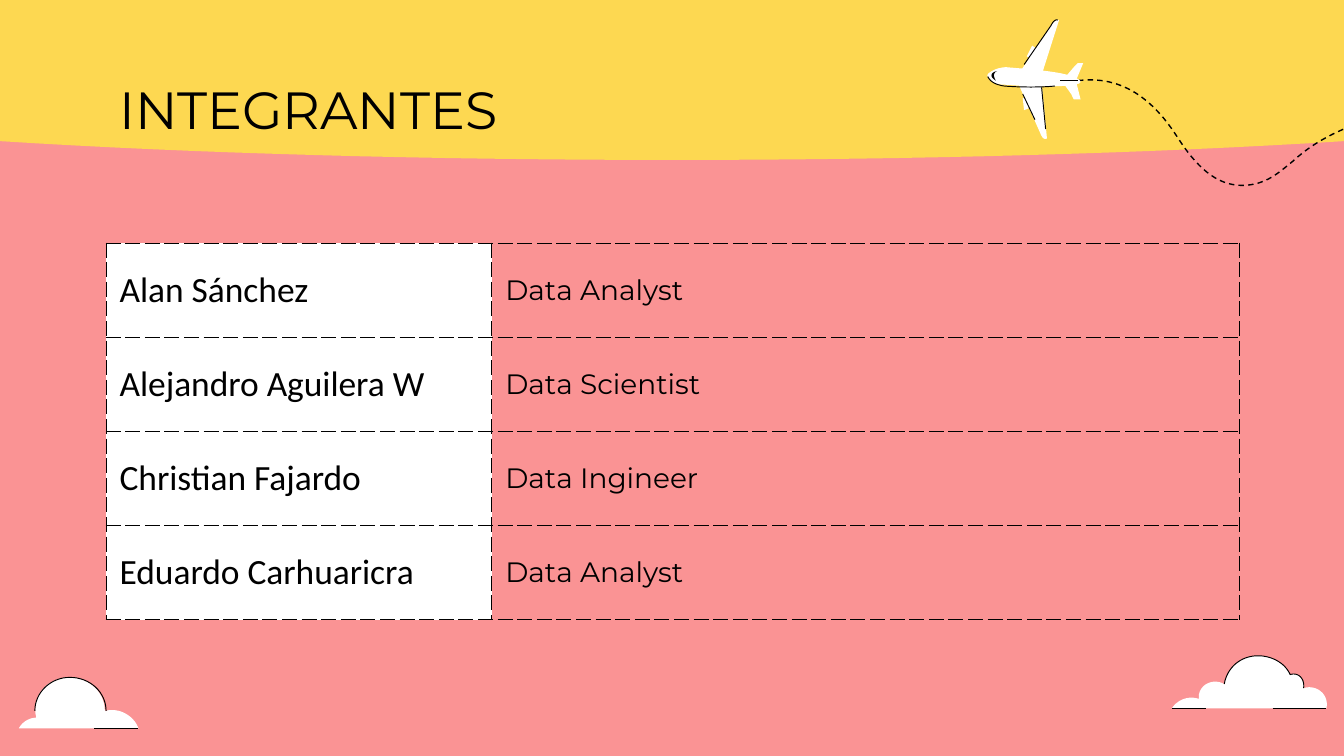
import pptx
import pptx.dml.color
import pptx.enum.dml
import pptx.enum.shapes
import pptx.enum.text
import pptx.oxml
import pptx.util

BLACK, WHITE, YELLOW, PINK = "000000", "FFFFFF", "FDD851", "FA9394"
INK_WIDTH = pptx.util.Pt(0.5)
DASHED_WIDTH = pptx.util.Pt(0.75)

# A 16:9 slide, ten square grid columns across
deck = pptx.Presentation()
deck.slide_width = pptx.util.Inches(10)
deck.slide_height = deck.slide_width * 9 // 16
slide = deck.slides.add_slide(deck.slide_layouts[6])
column = deck.slide_width // 10


def paint(color_format, color):
    color_format.rgb = pptx.dml.color.RGBColor.from_string(color)


def outline(start, segments, fill=None):
    """Filled closed outline, or an inked open one; six numbers make a curve."""
    points = [start]
    for segment in segments:
        if len(segment) == 2:
            points.append(segment)
            continue
        x0, y0 = points[-1]
        x1, y1, x2, y2, x3, y3 = segment
        for step in range(1, 17):
            t = step / 16
            u = 1 - t
            a, b, c, d = u**3, 3 * u * u * t, 3 * u * t * t, t**3
            points.append((a * x0 + b * x1 + c * x2 + d * x3,
                           a * y0 + b * y1 + c * y2 + d * y3))
    scaled = [(x * column, y * column) for x, y in points]
    builder = slide.shapes.build_freeform(*scaled[0], scale=1.0)
    builder.add_line_segments(scaled[1:], close=fill is not None)
    shape = builder.convert_to_shape()
    shape.shadow.inherit = False
    if fill:
        shape.fill.solid()
        paint(shape.fill.fore_color, fill)
        shape.line.fill.background()
    else:
        shape.fill.background()
        paint(shape.line.color, BLACK)
        shape.line.width = INK_WIDTH
    return shape


# Background and curved header band
slide.background.fill.solid()
paint(slide.background.fill.fore_color, PINK)
outline((0, 0), [(0, 1.05), (1.43, 1.14, 3.15, 1.19, 5, 1.19),
                 (6.85, 1.19, 8.57, 1.14, 10, 1.05), (10, 0)], YELLOW)

# Clouds
outline((9.36, 4.88), [
    (9.47, 4.88, 9.56, 4.94, 9.6, 5.02), (9.66, 5, 9.71, 5.05, 9.7, 5.12),
    (9.8, 5.09, 9.89, 5.17, 9.87, 5.27), (8.72, 5.27),
    (8.75, 5.22, 8.83, 5.17, 8.92, 5.2), (8.91, 5.1, 9.02, 5.04, 9.11, 5.09),
    (9.13, 4.97, 9.23, 4.88, 9.36, 4.88)], WHITE)
outline((9.11, 5.09), [(9.13, 4.97, 9.23, 4.88, 9.36, 4.88),
                       (9.46, 4.88, 9.56, 4.93, 9.6, 5.02),
                       (9.66, 5, 9.71, 5.05, 9.7, 5.12)])
outline((0.52, 5.04), [
    (0.66, 5.04, 0.78, 5.15, 0.78, 5.29), (0.89, 5.26, 1, 5.33, 1.03, 5.42),
    (0.14, 5.42), (0.16, 5.38, 0.21, 5.34, 0.27, 5.34),
    (0.23, 5.18, 0.35, 5.04, 0.52, 5.04)], WHITE)
outline((0.26, 5.29), [(0.26, 5.15, 0.38, 5.04, 0.52, 5.04),
                       (0.67, 5.04, 0.79, 5.15, 0.79, 5.29)])

# Dashed flight trail
trail = outline((8.02, 0.6), [
    (8.35, 0.56, 8.58, 0.74, 8.76, 1.02), (8.9, 1.24, 9.05, 1.38, 9.24, 1.38),
    (9.42, 1.38, 9.52, 1.28, 9.62, 1.2), (9.73, 1.1, 9.84, 1.03, 10, 0.96)])
trail.line.width = DASHED_WIDTH
trail.line.dash_style = pptx.enum.dml.MSO_LINE.DASH

# Plane: wings, tail fins and engines, then fuselage
plane_parts = [
    ((7.75, 0.61), [(7.79, 1.03), (7.76, 1.05, 7.74, 0.99, 7.74, 0.99), (7.58, 0.63)]),
    ((8.01, 0.62), [(8.04, 0.74), (7.99, 0.74), (7.97, 0.7), (7.92, 0.63)]),
    ((7.65, 0.72), [(7.67, 0.8), (7.62, 0.82), (7.61, 0.73)]),
    ((7.88, 0.15), [(7.75, 0.56), (7.6, 0.52), (7.82, 0.19),
                    (7.82, 0.19, 7.85, 0.14, 7.88, 0.15)]),
    ((8.06, 0.47), [(8.01, 0.59), (7.93, 0.57), (7.99, 0.5), (8.02, 0.47)]),
    ((7.68, 0.34), [(7.71, 0.36), (7.68, 0.44), (7.64, 0.42)]),
    ((8, 0.58), [(8.03, 0.59, 8.04, 0.6, 8.04, 0.61), (8.04, 0.65, 7.7, 0.65, 7.47, 0.63),
                 (7.4, 0.63, 7.37, 0.61, 7.35, 0.57), (7.33, 0.55, 7.41, 0.5, 7.49, 0.5),
                 (7.59, 0.51, 7.93, 0.53, 8, 0.58)]),
]
for start, segments in plane_parts:
    outline(start, segments, WHITE)

# Plane window, belly and wing ink
outline((7.42, 0.53), [(7.36, 0.54, 7.37, 0.58, 7.41, 0.6),
                       (7.39, 0.57, 7.39, 0.54, 7.42, 0.53)], BLACK)
outline((7.35, 0.57), [(7.37, 0.61, 7.41, 0.63, 7.47, 0.64),
                       (7.59, 0.65, 7.76, 0.65, 7.85, 0.64)])
outline((7.62, 0.48), [(7.82, 0.19), (7.83, 0.17, 7.85, 0.14, 7.87, 0.15)])

# Straight ink strokes on the plane and under the clouds
for ends in [(7.89, 0.6, 8.02, 0.6), (7.75, 0.65, 7.78, 0.96), (7.61, 0.7, 7.7, 0.89),
             (9.47, 5.27, 9.87, 5.27), (8.72, 5.27, 8.97, 5.27), (0.7, 5.42, 1.03, 5.42)]:
    stroke = slide.shapes.add_connector(pptx.enum.shapes.MSO_CONNECTOR.STRAIGHT,
                                        *[int(end * column) for end in ends])
    paint(stroke.line.color, BLACK)
    stroke.line.width = INK_WIDTH
    stroke._element.spPr.append(pptx.oxml.parse_xml(
        '<a:effectLst xmlns:a="http://schemas.openxmlformats.org/drawingml/2006/main"/>'))

# Title
margin = int(0.79 * column)
heading = slide.shapes.add_textbox(margin, int(0.49 * column),
                                   int(8.43 * column), int(0.63 * column))
heading_frame = heading.text_frame
heading_frame.word_wrap = True
heading_frame.vertical_anchor = pptx.enum.text.MSO_ANCHOR.MIDDLE
heading_frame.text = "INTEGRANTES"
heading_font = heading_frame.paragraphs[0].font
heading_font.name, heading_font.size = "Montserrat", pptx.util.Pt(28)
paint(heading_font.color, BLACK)

# Team table
team = [("Alan Sánchez", "Data Analyst"), ("Alejandro Aguilera W", "Data Scientist"),
        ("Christian Fajardo", "Data Ingineer"), ("Eduardo Carhuaricra", "Data Analyst")]
widths = [int(2.87 * column), int(5.56 * column)]
members = slide.shapes.add_table(len(team), 2, margin, int(1.81 * column),
                                 sum(widths), int(0.7 * column) * len(team)).table
members.first_row = members.horz_banding = False
for table_column, width in zip(members.columns, widths):
    table_column.width = width
for r, person in enumerate(team):
    for c, (words, face, size) in enumerate(zip(person, ("Calibri", "Montserrat"), (19, 15))):
        cell = members.cell(r, c)
        cell.text = words
        cell.vertical_anchor = pptx.enum.text.MSO_ANCHOR.MIDDLE
        cell.margin_left = cell.margin_right = column // 10
        cell.margin_top = cell.margin_bottom = 0
        entry = cell.text_frame.paragraphs[0]
        entry.font.name, entry.font.size = face, pptx.util.Pt(size)
        paint(entry.font.color, BLACK)
        if c == 0:
            cell.fill.solid()
            paint(cell.fill.fore_color, WHITE)
        else:
            cell.fill.background()
            entry.space_after = pptx.util.Pt(16)
        for place, side in enumerate("LRTB"):
            cell._tc.get_or_add_tcPr().insert(place, pptx.oxml.parse_xml(
                f'<a:ln{side} xmlns:a="http://schemas.openxmlformats.org/drawingml/2006/main" '
                f'w="{DASHED_WIDTH}"><a:solidFill><a:srgbClr val="{BLACK}"/></a:solidFill>'
                f'<a:prstDash val="dash"/></a:ln{side}>'))

deck.save("out.pptx")
